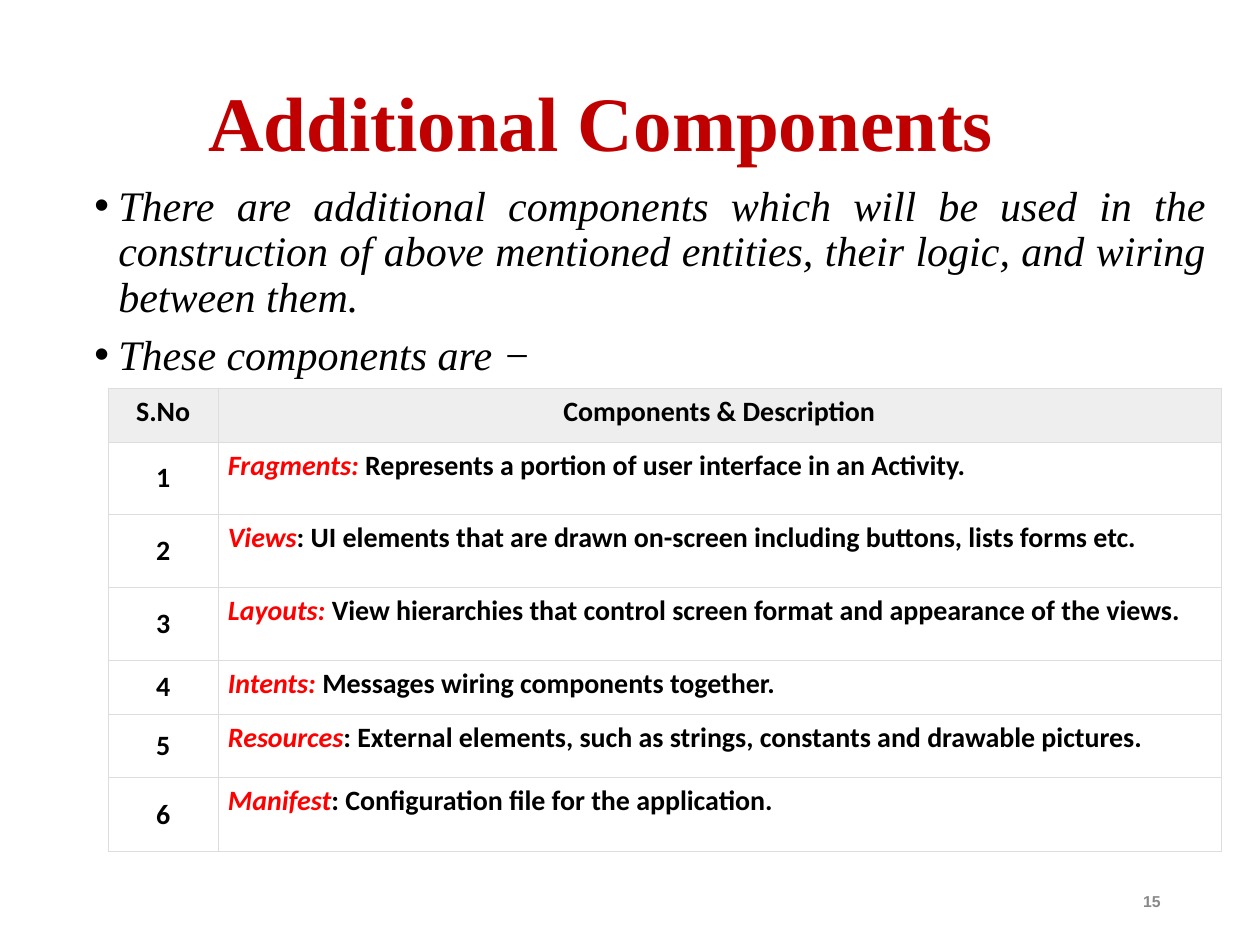
from lxml import etree
from pptx import Presentation, util as u
from pptx.dml.color import RGBColor
from pptx.enum import text
from pptx.oxml.ns import qn

TITLE = "Additional Components"
POINTS = [
    "There are additional components which will be used in the construction "
    "of above mentioned entities, their logic, and wiring between them.",
    "These components are −",
]
HEAD = ["S.No", "Components & Description"]
PARTS = [
    ("Fragments: ", "Represents a portion of user interface in an Activity."),
    ("Views", ": UI elements that are drawn on-screen including buttons, lists forms etc."),
    ("Layouts: ", "View hierarchies that control screen format and appearance of the views."),
    ("Intents: ", "Messages wiring components together."),
    ("Resources", ": External elements, such as strings, constants and drawable pictures."),
    ("Manifest", ": Configuration file for the application."),
]
PAGE = "15"
COLS = [0.87, 7.96]
ROWS = [0.43, 0.57, 0.58, 0.58, 0.43, 0.5, 0.59]
SERIF = "Times New Roman"
BLACK, RED, GRID = "000000", "FF0000", "DDDDDD"
ALIGN = text.PP_ALIGN
MID, TOP = text.MSO_ANCHOR.MIDDLE, text.MSO_ANCHOR.TOP


def rgb(code):
    return RGBColor.from_string(code)


def write(para, *runs, align=ALIGN.CENTER, font="Calibri", size=16, line=None,
          bold=False, slant=False, color=BLACK):
    para.alignment = align
    if line:
        para.line_spacing = line
    for item in runs:
        words, look = item if isinstance(item, tuple) else (item, {})
        run = para.add_run()
        run.text = words
        face = run.font
        face.name, face.size, face.bold = font, u.Pt(size), bold
        face.italic = look.get("slant", slant)
        face.color.rgb = rgb(look.get("color", color))


def frame(slide, box, anchor=TOP):
    body = slide.shapes.add_textbox(*map(u.Inches, box)).text_frame
    body.word_wrap = True
    body.vertical_anchor = anchor
    return body


def bullet(para):
    props = para._p.get_or_add_pPr()
    props.set("marL", str(u.Inches(0.19)))
    props.set("indent", str(-u.Inches(0.19)))
    tint = etree.SubElement(props, qn("a:buClr"))
    etree.SubElement(tint, qn("a:srgbClr"), val=BLACK)
    etree.SubElement(props, qn("a:buFont"), typeface="Arial")
    etree.SubElement(props, qn("a:buChar"), char="•")


def style(cell, fill, anchor):
    props = cell._tc.get_or_add_tcPr()
    for side in ("lnL", "lnR", "lnT", "lnB"):
        edge = etree.SubElement(props, qn("a:" + side), w=str(u.Pt(0.34)))
        paint = etree.SubElement(edge, qn("a:solidFill"))
        etree.SubElement(paint, qn("a:srgbClr"), val=GRID)
    if fill:
        cell.fill.solid()
        cell.fill.fore_color.rgb = rgb(fill)
    else:
        cell.fill.background()
    cell.margin_left = cell.margin_right = u.Inches(0.08)
    cell.margin_top = cell.margin_bottom = u.Inches(0.05)
    cell.vertical_anchor = anchor
    return cell.text_frame.paragraphs[0]


def grid(slide):
    box = map(u.Inches, (0.86, 3.08, sum(COLS), sum(ROWS)))
    table = slide.shapes.add_table(len(ROWS), len(COLS), *box).table
    table.horz_banding = False
    for col, width in zip(table.columns, COLS):
        col.width = u.Inches(width)
    for row, height in zip(table.rows, ROWS):
        row.height = u.Inches(height)
    for col, label in enumerate(HEAD):
        write(style(table.cell(0, col), "EEEEEE", TOP), label, bold=True)
    for row, (name, about) in enumerate(PARTS, 1):
        write(style(table.cell(row, 0), None, MID), str(row), bold=True)
        write(style(table.cell(row, 1), None, TOP),
              (name, {"color": RED, "slant": True}), about,
              align=ALIGN.JUSTIFY, bold=True)


def main():
    deck = Presentation()
    deck.slide_width, deck.slide_height = u.Inches(10), u.Inches(7.5)
    slide = deck.slides.add_slide(deck.slide_layouts[6])

    head = frame(slide, (0.23, 0.63, 9.08, 0.75), MID)
    write(head.paragraphs[0], TITLE, font=SERIF, size=44, line=0.9,
          bold=True, color="C00000")

    body = frame(slide, (0.65, 1.42, 9.02, 5.5))
    for i, point in enumerate(POINTS):
        para = body.add_paragraph() if i else body.paragraphs[0]
        bullet(para)
        if i:
            para.space_before = u.Pt(7.5)
        write(para, point, align=ALIGN.JUSTIFY, font=SERIF, size=24,
              line=0.9, slant=True)

    foot = frame(slide, (7.06, 6.95, 2.25, 0.4), MID)
    write(foot.paragraphs[0], PAGE, align=ALIGN.RIGHT, font="Arial", size=9,
          bold=True, color="898989")

    grid(slide)
    deck.save("out.pptx")


if __name__ == "__main__":
    main()
